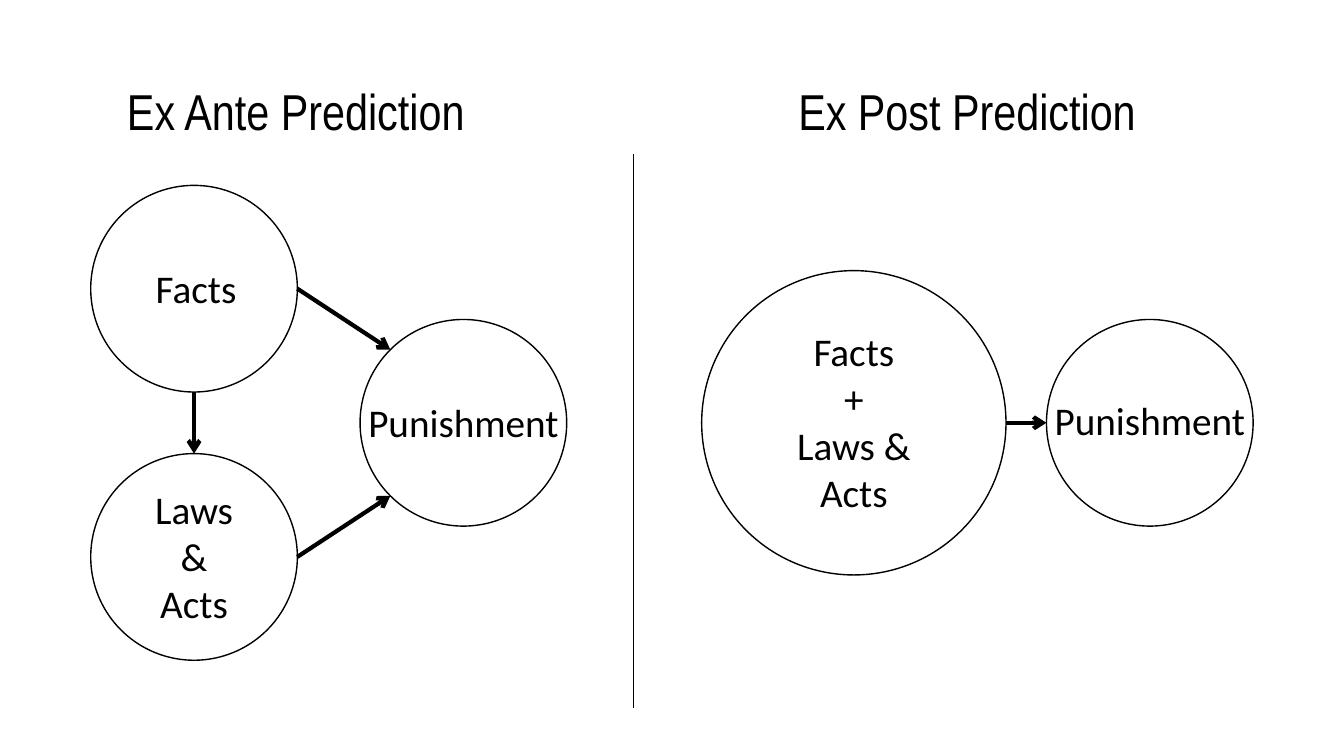
from dataclasses import dataclass
from math import cos, radians, sin

from lxml.etree import SubElement
from pptx import Presentation
from pptx.dml.color import RGBColor
from pptx.enum.shapes import MSO_CONNECTOR, MSO_SHAPE
from pptx.enum.text import MSO_ANCHOR, MSO_AUTO_SIZE, PP_ALIGN
from pptx.oxml.ns import qn
from pptx.util import Pt


@dataclass(frozen=True)
class Theme:
    ink: RGBColor = RGBColor(0, 0, 0)
    heading_font: str = "Arial Narrow"
    heading_size: int = 36
    label_font: str = "Calibri"
    label_size: int = 28
    outline: float = 1
    arrow: float = 3
    divider: float = 0.5


@dataclass(frozen=True)
class Circle:
    x: float
    y: float
    radius: float

    def rim(self, degrees):
        angle = radians(degrees)
        return self.x + self.radius * cos(angle), self.y + self.radius * sin(angle)


class Diagram:
    def __init__(self, slide, theme):
        self.slide = slide
        self.theme = theme

    def set_text(self, frame, text, font, size, align):
        frame.text = text
        frame.word_wrap = True
        frame.auto_size = MSO_AUTO_SIZE.NONE
        frame.vertical_anchor = MSO_ANCHOR.TOP
        for paragraph in frame.paragraphs:
            paragraph.alignment = align
            paragraph.space_before = Pt(0)
            for run in paragraph.runs:
                run.font.name = font
                run.font.size = Pt(size)
                run.font.bold = False
                run.font.color.rgb = self.theme.ink

    def heading(self, placeholder, text, left, width):
        placeholder.left, placeholder.top = Pt(left), Pt(53.3)
        placeholder.width, placeholder.height = Pt(width), Pt(51)
        self.set_text(placeholder.text_frame, text, self.theme.heading_font,
                      self.theme.heading_size, PP_ALIGN.LEFT)

    def circle(self, circle):
        side = Pt(2 * circle.radius)
        oval = self.slide.shapes.add_shape(
            MSO_SHAPE.OVAL, Pt(circle.x - circle.radius),
            Pt(circle.y - circle.radius), side, side)
        oval.shadow.inherit = False
        oval.fill.background()
        oval.line.color.rgb = self.theme.ink
        oval.line.width = Pt(self.theme.outline)

    def label(self, circle, text, width, height, dx=0, dy=0):
        box = self.slide.shapes.add_textbox(
            Pt(circle.x + dx - width / 2), Pt(circle.y + dy - height / 2),
            Pt(width), Pt(height))
        self.set_text(box.text_frame, text, self.theme.label_font,
                      self.theme.label_size, PP_ALIGN.CENTER)

    def line(self, start, end, weight):
        connector = self.slide.shapes.add_connector(
            MSO_CONNECTOR.STRAIGHT, *map(Pt, start + end))
        connector.line.color.rgb = self.theme.ink
        connector.line.width = Pt(weight)
        SubElement(connector.element.spPr, qn("a:effectLst"))
        return connector

    def arrow(self, start, end):
        connector = self.line(start, end, self.theme.arrow)
        outline = connector.element.spPr.find(qn("a:ln"))
        SubElement(outline, qn("a:tailEnd"), type="arrow")


def main():
    presentation = Presentation()
    presentation.slide_width, presentation.slide_height = Pt(960), Pt(540)
    slide = presentation.slides.add_slide(
        presentation.slide_layouts.get_by_name("Comparison"))
    theme = Theme()
    diagram = Diagram(slide, theme)

    ex_ante, ex_post, *unused = slide.placeholders
    diagram.heading(ex_ante, "Ex Ante Prediction", 83.5, 286)
    diagram.heading(ex_post, "Ex Post Prediction", 563, 277)
    for placeholder in unused:
        placeholder.element.getparent().remove(placeholder.element)

    middle, rise, radius = 302, 95.8, 73.8
    facts = Circle(138.6, middle - rise, radius)
    laws = Circle(138.6, middle + rise, radius)
    ante_punishment = Circle(331, middle, radius)
    combined = Circle(609.9, middle, 108.7)
    post_punishment = Circle(821.3, middle, radius)
    for circle in (facts, ante_punishment, laws, post_punishment, combined):
        diagram.circle(circle)

    diagram.arrow(facts.rim(90), laws.rim(-90))
    diagram.arrow(facts.rim(0), ante_punishment.rim(-135))
    diagram.arrow(laws.rim(0), ante_punishment.rim(135))
    diagram.arrow(combined.rim(0), post_punishment.rim(180))

    diagram.label(facts, "Facts", 78.5, 41, dx=1.4, dy=-0.6)
    diagram.label(laws, "Laws & Acts", 70, 109)
    diagram.label(ante_punishment, "Punishment", 171.4, 41, dy=-0.6)
    diagram.label(combined, "Facts\n+\nLaws & Acts", 123, 143, dy=-0.6)
    diagram.label(post_punishment, "Punishment", 171.4, 41, dy=-2)

    diagram.line((452.2, 110.2), (452.2, 505.4), theme.divider)
    presentation.save("out.pptx")


if __name__ == "__main__":
    main()
